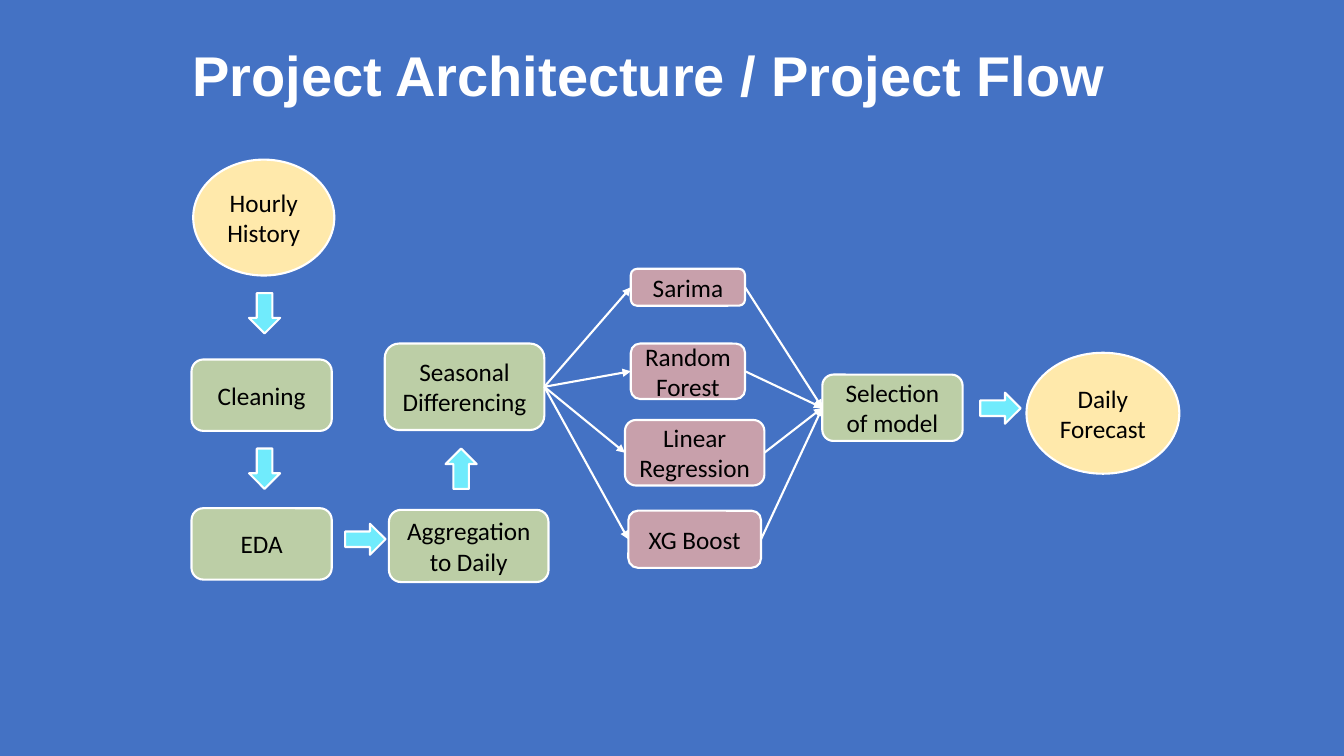
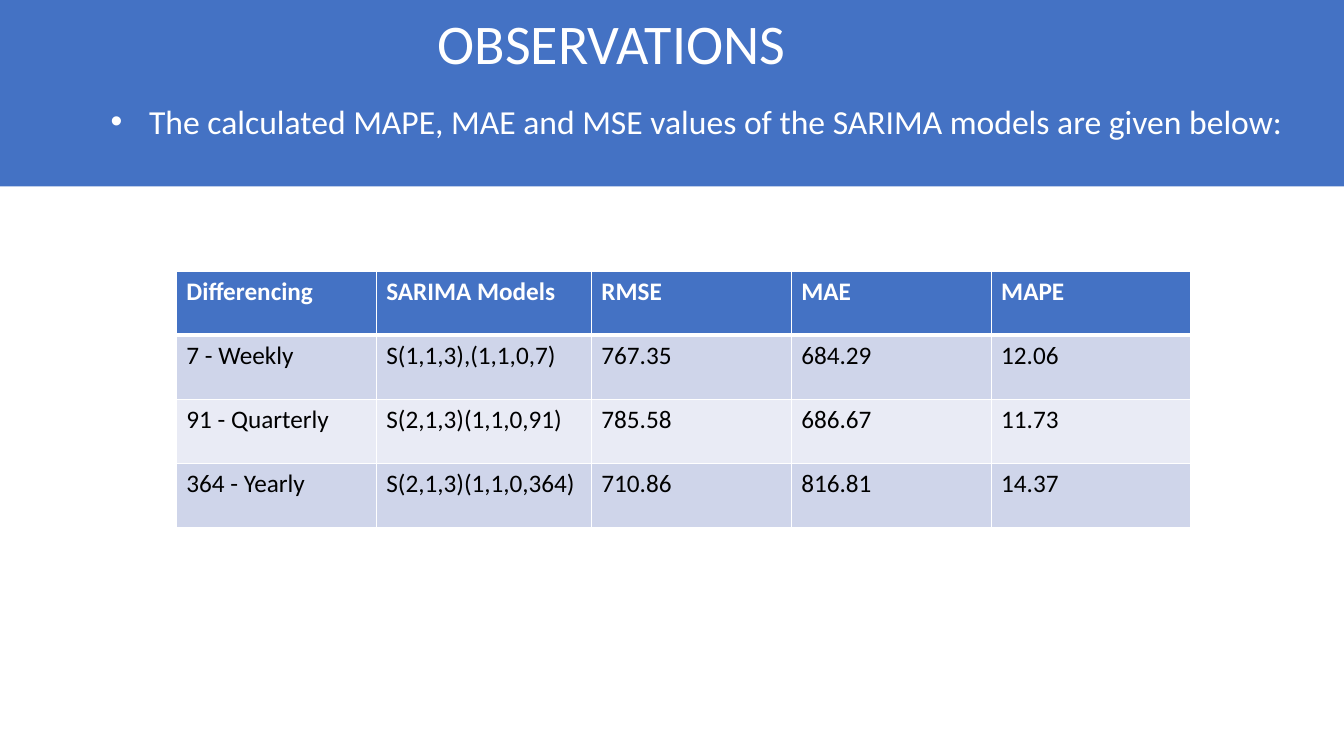
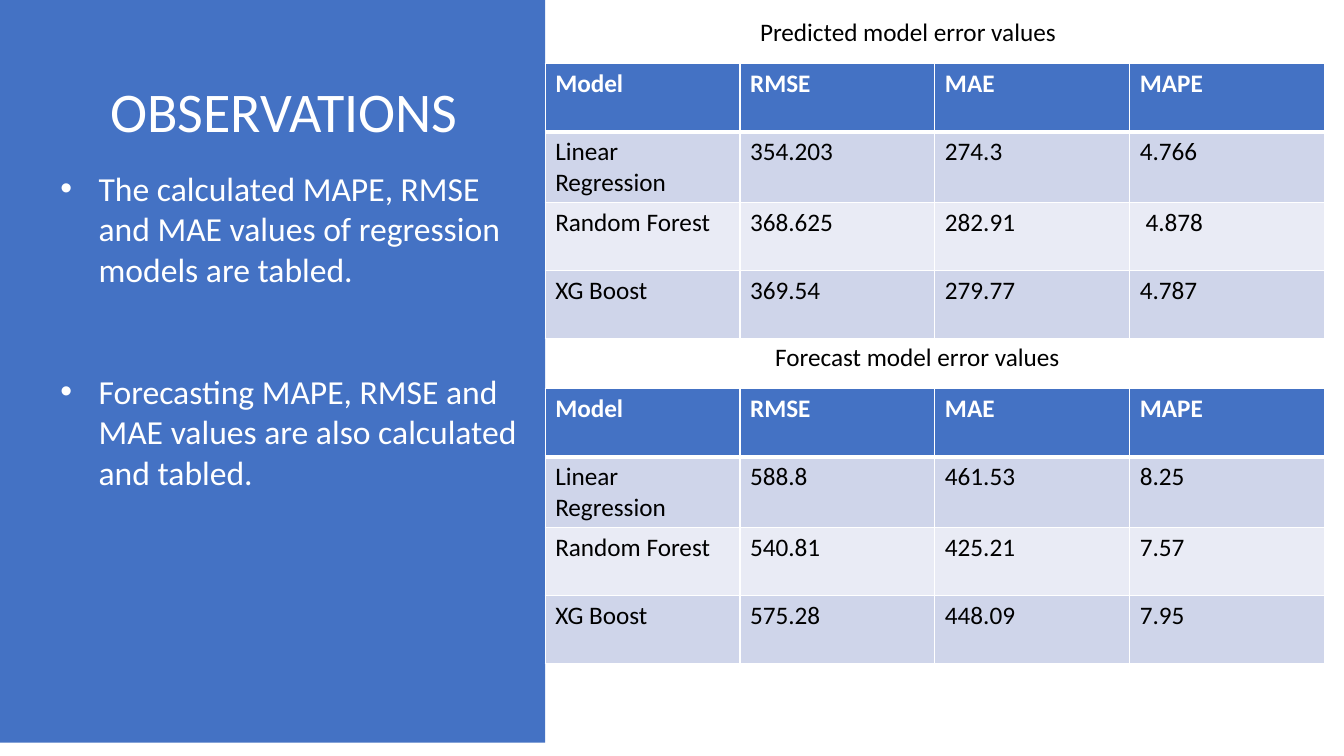
"""Builds three slides on a forecast project: its flow and two pages of model errors."""
import lxml.etree
import pptx
import pptx.dml.color
import pptx.enum.shapes
import pptx.enum.text
import pptx.oxml.ns
import pptx.util

HUES = {
    "blue": "4472C4", "white": "FFFFFF", "black": "000000",
    "cream": "FFE9AB", "green": "BCCEA6", "rose": "C8A0AB", "cyan": "70EBFC",
    "dark row": "CFD5EA", "light row": "E9EBF5",
}
KIND = pptx.enum.shapes.MSO_SHAPE
ALIGN = pptx.enum.text.PP_ALIGN
ANCHOR = pptx.enum.text.MSO_ANCHOR
COLS, ROWS = 160, 90
WIDE, HIGH = pptx.util.Inches(13.33), pptx.util.Inches(7.5)


def hue(name):
    return pptx.dml.color.RGBColor.from_string(HUES[name])


def node(parent, tag, **attrs):
    return lxml.etree.SubElement(parent, pptx.oxml.ns.qn(tag), attrs)


def write(frame, text, size=18, font="Calibri", color="black", bold=False,
          align=ALIGN.LEFT, anchor=ANCHOR.TOP, bullet=False, gap=0):
    frame.word_wrap = True
    frame.vertical_anchor = anchor
    for num, line in enumerate(text.split("\n")):
        para = frame.add_paragraph() if num else frame.paragraphs[0]
        para.alignment = align
        para.space_before = pptx.util.Pt(gap if num else 0)
        run = para.add_run()
        run.text = line
        run.font.size = pptx.util.Pt(size)
        run.font.name = font
        run.font.bold = bold
        run.font.color.rgb = hue(color)
        if bullet:
            props = para._p.get_or_add_pPr()
            hang = pptx.util.Inches(0.38)
            props.set("marL", str(hang))
            props.set("indent", str(-hang))
            node(props, "a:buFont", typeface="Arial")
            node(props, "a:buChar", char="•")


class Deck:
    """Holds the shared style and the current slide; lengths are grid columns and rows."""

    def __init__(self):
        self.show = pptx.Presentation()
        self.show.slide_width, self.show.slide_height = WIDE, HIGH
        self.slide = None

    def box(self, left, top, width, height):
        return (round(left * WIDE / COLS), round(top * HIGH / ROWS),
                round(width * WIDE / COLS), round(height * HIGH / ROWS))

    def page(self, title, place, back="white", **style):
        self.slide = self.show.slides.add_slide(self.show.slide_layouts[5])
        fill = self.slide.background.fill
        fill.solid()
        fill.fore_color.rgb = hue(back)
        head = self.slide.shapes.title
        head.left, head.top, head.width, head.height = self.box(*place)
        head.text_frame.auto_size = pptx.enum.text.MSO_AUTO_SIZE.NONE
        write(head.text_frame, title, **{"size": 40, "color": "white", **style})

    def shape(self, kind, place, color, edge="white"):
        item = self.slide.shapes.add_shape(kind, *self.box(*place))
        item.shadow.inherit = False
        item.fill.solid()
        item.fill.fore_color.rgb = hue(color)
        if edge:
            item.line.color.rgb = hue(edge)
            item.line.width = pptx.util.Pt(1.5)
        else:
            item.line.fill.background()
        return item

    def band(self, width, height):
        item = self.shape(KIND.RECTANGLE, (0, 0, width, height), "blue", edge=None)
        self.slide.shapes.title.element.addprevious(item.element)

    def step(self, text, place, color, kind=KIND.ROUNDED_RECTANGLE):
        item = self.shape(kind, place, color)
        write(item.text_frame, text, align=ALIGN.CENTER, anchor=ANCHOR.MIDDLE)
        return item

    def arrow(self, kind, mid, row):
        wide, high = (4.8, 3.7) if kind == KIND.RIGHT_ARROW else (3.7, 4.8)
        self.shape(kind, (mid - wide / 2, row - high / 2, wide, high), "cyan")

    def link(self, start, end):
        line = self.slide.shapes.add_connector(
            pptx.enum.shapes.MSO_CONNECTOR.STRAIGHT, 0, 0, 0, 0)
        line.begin_connect(start, 3)
        line.end_connect(end, 1)
        line.line.color.rgb = hue("white")
        line.line.width = pptx.util.Pt(1.5)
        node(line.line._get_or_add_ln(), "a:tailEnd", type="triangle")
        node(line.element.spPr, "a:effectLst")

    def text(self, text, place, **style):
        item = self.slide.shapes.add_textbox(*self.box(*place))
        write(item.text_frame, text, **style)

    def table(self, rows, left, top, widths, height):
        place = self.box(left, top, sum(widths), height * len(rows))
        grid = self.slide.shapes.add_table(len(rows), len(widths), *place).table
        grid.horz_banding = False
        for col, width in zip(grid.columns, widths):
            col.width = round(width * WIDE / COLS)
        for num, row in enumerate(rows):
            for col, text in enumerate(row):
                self.cell(grid.cell(num, col), text, num)

    def cell(self, cell, text, num):
        props = cell._tc.get_or_add_tcPr()
        for side in "LRTB":
            thick = (num, side) in ((0, "B"), (1, "T"))
            line = node(props, f"a:ln{side}", w=str(pptx.util.Pt(3 if thick else 1)))
            node(node(line, "a:solidFill"), "a:srgbClr", val=HUES["white"])
        cell.fill.solid()
        fill = "dark row" if num % 2 else "light row"
        cell.fill.fore_color.rgb = hue(fill if num else "blue")
        write(cell.text_frame, text, color="black" if num else "white", bold=num == 0)


def flow(deck):
    deck.page("Project Architecture / Project Flow", (21.7, 4.2, 128.2, 9.2),
              back="blue", font="Arial", bold=True)
    deck.step("Hourly\nHistory", (23, 19, 16.8, 13.8), "cream", KIND.OVAL)
    deck.step("Daily\nForecast", (122.2, 42, 18.2, 14.4), "cream", KIND.OVAL)
    deck.step("Cleaning", (22.8, 42.8, 16.7, 8.5), "green")
    deck.step("EDA", (22.8, 60.5, 16.7, 8.5), "green")
    deck.step("Aggregation to Daily", (46.3, 60.7, 19, 8.6), "green")
    source = deck.step("Seasonal\nDifferencing", (45.8, 40.9, 19, 10.3), "green")
    choice = deck.step("Selection of model", (97.9, 44.6, 16.7, 7.9), "green")
    for text, place in (
        ("Sarima", (75.1, 32, 13.6, 4.4)),
        ("Random Forest", (75.1, 40.9, 13.6, 6.6)),
        ("Linear Regression", (74.4, 50, 16.6, 7.8)),
        ("XG Boost", (74.8, 60.8, 15.8, 6.8)),
    ):
        model = deck.step(text, place, "rose")
        deck.link(source, model)
        deck.link(model, choice)
    for kind, mid, row in (
        (KIND.DOWN_ARROW, 31.5, 37.3), (KIND.DOWN_ARROW, 31.5, 55.8),
        (KIND.RIGHT_ARROW, 43.5, 64.2), (KIND.UP_ARROW, 54.9, 55.8),
        (KIND.RIGHT_ARROW, 119.1, 48.6),
    ):
        deck.arrow(kind, mid, row)


def sarima(deck):
    deck.page("OBSERVATIONS", (50.8, 0.5, 44, 9), align=ALIGN.CENTER, anchor=ANCHOR.MIDDLE)
    deck.band(COLS, 22.2)
    deck.text("The calculated MAPE, MAE and MSE values of the SARIMA models are given below:",
              (12, 11.4, 148, 6), size=24, color="white", bullet=True)
    deck.table([
        ("Differencing", "SARIMA Models", "RMSE", "MAE", "MAPE"),
        ("7 - Weekly", "S(1,1,3),(1,1,0,7)", "767.35", "684.29", "12.06"),
        ("91 - Quarterly", "S(2,1,3)(1,1,0,91)", "785.58", "686.67", "11.73"),
        ("364 - Yearly", "S(2,1,3)(1,1,0,364)", "710.86", "816.81", "14.37"),
    ], 21, 32.3, (23.8, 25.6, 23.8, 23.8, 23.8), 7.62)


def errors(deck):
    edge = 64.9
    deck.page("OBSERVATIONS", (11.8, 8.6, 44, 9), align=ALIGN.CENTER, anchor=ANCHOR.MIDDLE)
    deck.band(edge, 88.4)
    deck.text("The calculated MAPE, RMSE and MAE values of regression models are tabled.\n"
              "Forecasting MAPE, RMSE and MAE values are also calculated and tabled.",
              (6, 19.4, edge - 6, 40), size=24, color="white", bullet=True, gap=58.5)
    head = ("Model", "RMSE", "MAE", "MAPE")
    for label, left, top, rows in (
        ("Predicted model error values", 89.3, 1.3, (
            ("Linear Regression", "354.203", "274.3", "4.766"),
            ("Random Forest", "368.625", "282.91", " 4.878"),
            ("XG Boost", "369.54", "279.77", "4.787"))),
        ("Forecast model error values", 91.1, 40, (
            ("Linear Regression", "588.8", "461.53", "8.25"),
            ("Random Forest", "540.81", "425.21", "7.57"),
            ("XG Boost", "575.28", "448.09", "7.95"))),
    ):
        deck.text(label, (left, top, 40.6, 4.8))
        deck.table([head, *rows], edge, top + 6.25, (23.2,) * 4, 8.13)


def main():
    deck = Deck()
    for build in (flow, sarima, errors):
        build(deck)
    deck.show.save("out.pptx")


if __name__ == "__main__":
    main()
